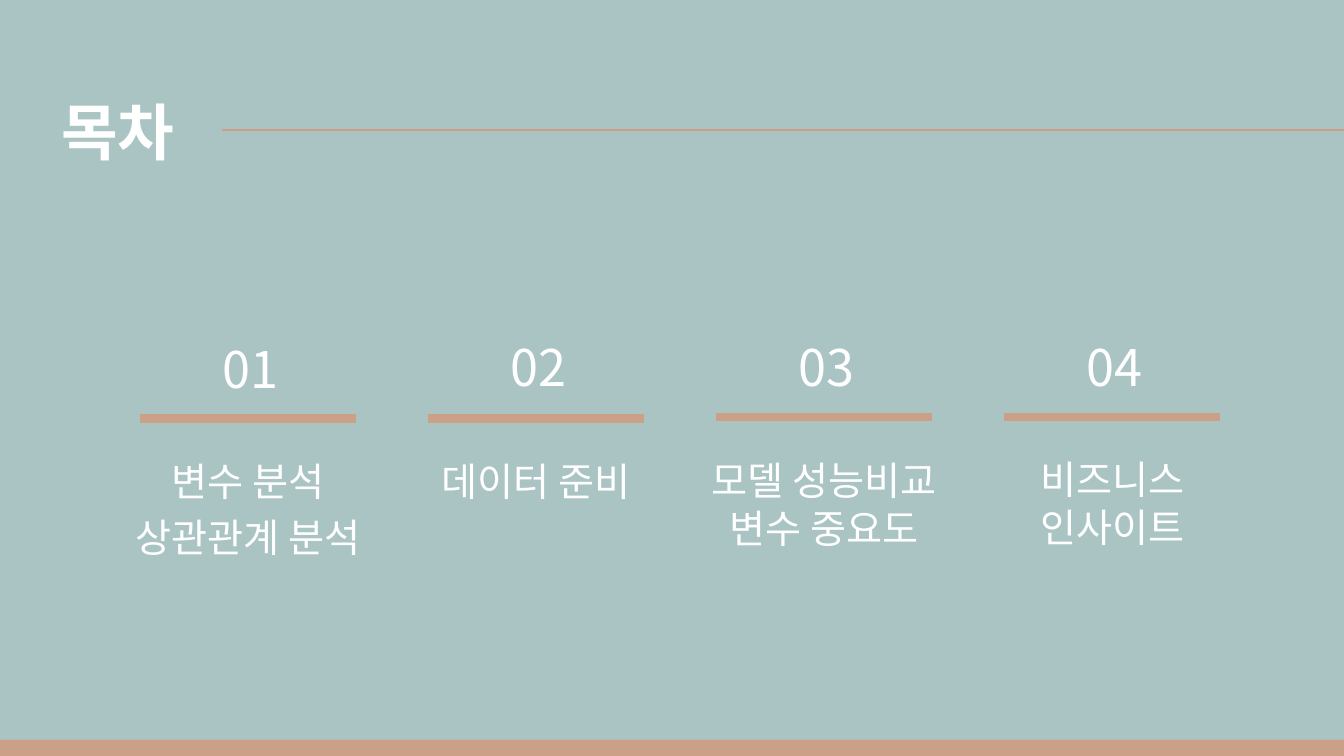
"""Build a table of contents slide with four numbered sections."""
import pptx
import pptx.util
import pptx.dml.color
import pptx.enum.shapes
import pptx.enum.text
import pptx.oxml.ns
from lxml import etree

Pt = pptx.util.Pt
ALIGN = pptx.enum.text.PP_ALIGN

WIDE, HIGH = 960, 540
FONT = "Noto Sans CJK KR"
SAGE, CLAY, WHITE = "AAC3C3", "CCA087", "FFFFFF"
TITLE = "목차"
PARTS = [
    {"lines": ["변수 분석", "상관관계 분석"], "num": 237, "rule": 299, "top": 322.5, "gap": 5.5},
    {"lines": ["데이터 준비"], "num": 236, "rule": 299, "top": 322.5, "gap": 0},
    {"lines": ["모델 성능비교", "변수 중요도"], "num": 236, "rule": 298, "top": 321.5, "gap": 0},
    {"lines": ["비즈니스 인사이트"], "num": 236, "rule": 298, "top": 321, "gap": 0},
]
LEFT, STEP, SPAN = 100, 205.7, 154.4
NUM_W, TEXT_W = 57, 195


def tint(code):
    return pptx.dml.color.RGBColor.from_string(code)


def text(lines, x, y, w, h, size, align=ALIGN.LEFT, bold=False, gap=0):
    box = slide.shapes.add_textbox(Pt(x), Pt(y), Pt(w), Pt(h))
    frame = box.text_frame
    frame.word_wrap = True
    for i, line in enumerate(lines):
        para = frame.paragraphs[0] if i == 0 else frame.add_paragraph()
        para.alignment = align
        para.line_spacing = Pt(round(size * 1.22, 1))
        para.space_before = Pt(gap if i else 0)
        run = para.add_run()
        run.text = line
        run.font.size = Pt(size)
        run.font.bold = bold
        run.font.name = FONT
        run.font.color.rgb = tint(WHITE)
        east = etree.SubElement(run.font._element, pptx.oxml.ns.qn("a:ea"))
        east.set("typeface", FONT)


def rule(x, end, y, weight):
    line = slide.shapes.add_connector(
        pptx.enum.shapes.MSO_CONNECTOR.STRAIGHT, Pt(x), Pt(y), Pt(end), Pt(y))
    line.line.color.rgb = tint(CLAY)
    line.line.width = Pt(weight)
    etree.SubElement(line._element.spPr, pptx.oxml.ns.qn("a:effectLst"))


deck = pptx.Presentation()
deck.slide_width, deck.slide_height = Pt(WIDE), Pt(HIGH)
slide = deck.slides.add_slide(deck.slide_layouts[6])
slide.background.fill.solid()
slide.background.fill.fore_color.rgb = tint(SAGE)

text([TITLE], 36.7, 62.6, 116, 60.5, 44, bold=True)
rule(158.4, WIDE, 92.9, 1.5)

for i, part in enumerate(PARTS):
    x = LEFT + i * STEP
    mid = x + SPAN / 2
    rule(x, x + SPAN, part["rule"], 6)
    text([f"{i + 1:02}"], mid - NUM_W / 2, part["num"], NUM_W, 51, 36, ALIGN.RIGHT)
    rows = 1 if i == 1 else 2
    text(part["lines"], mid - TEXT_W / 2, part["top"], TEXT_W,
         7.2 + rows * 34 + part["gap"], 28, ALIGN.CENTER, gap=part["gap"])

bar = slide.shapes.add_shape(
    pptx.enum.shapes.MSO_SHAPE.RECTANGLE, 0, Pt(528.5), Pt(WIDE), Pt(HIGH - 528.5))
bar.shadow.inherit = False
bar.fill.solid()
bar.fill.fore_color.rgb = tint(CLAY)
bar.line.fill.background()

deck.save("out.pptx")
